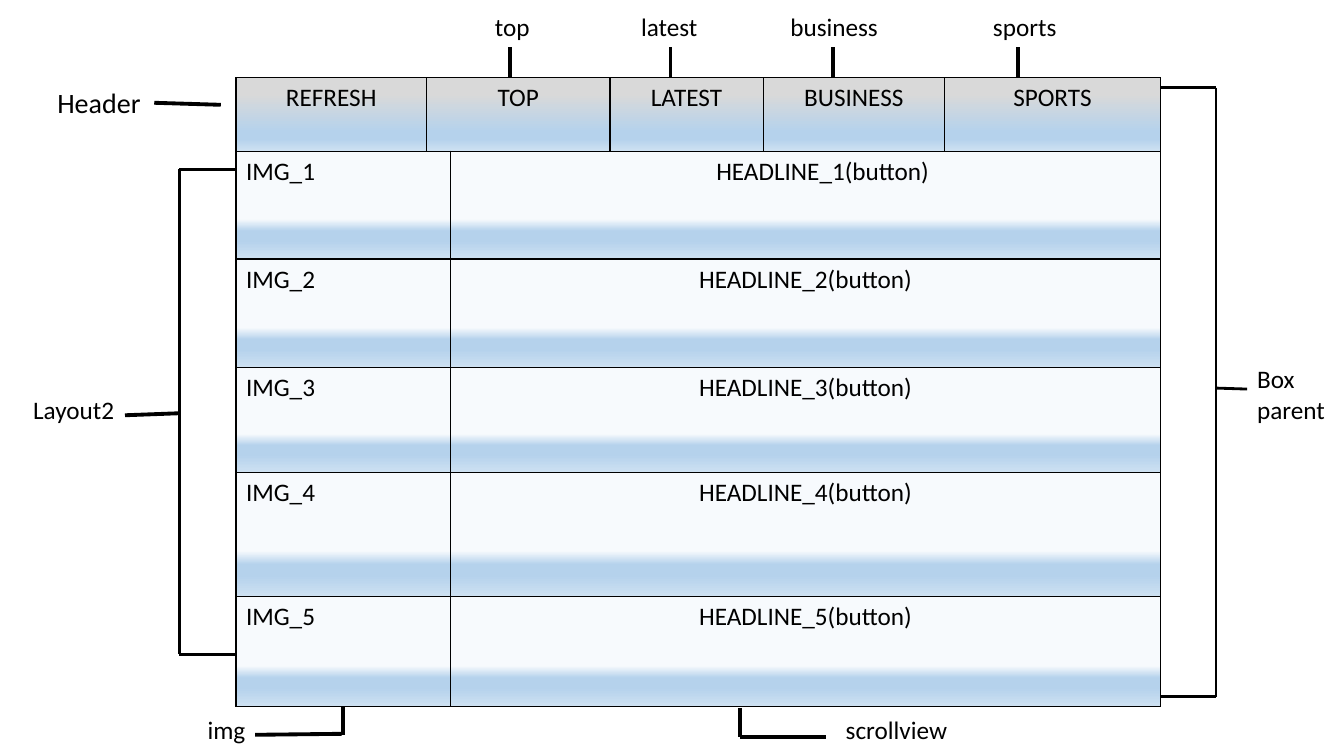
from lxml.etree import SubElement
from pptx import Presentation
from pptx.dml.color import RGBColor
from pptx.enum.shapes import MSO_CONNECTOR
from pptx.enum.text import MSO_AUTO_SIZE, PP_ALIGN
from pptx.oxml.ns import qn
from pptx.util import Inches, Pt

BLACK = "000000"
BLUE_END = [(74, "B5D2EC"), (83, "B5D2EC"), (100, "CEE1F2")]
HEADER_FILL = [(22, "D9D9D9")] + BLUE_END
NEWS_FILL = [(63, "F7FAFD")] + BLUE_END


def rgb(value):
    return RGBColor.from_string(value)


def add_color(parent, value):
    SubElement(parent, qn("a:srgbClr"), val=value)


class Wireframe:
    font = "Calibri"
    size = 18
    thick, thin = 2.75, 2

    def __init__(self, slide):
        self.slide = slide

    def style(self, tf, size=None):
        for p in tf.paragraphs:
            for r in p.runs:
                r.font.name = self.font
                r.font.size = Pt(size or self.size)
                r.font.bold = False
                r.font.color.rgb = rgb(BLACK)

    def label(self, text, x, y, w, h=0.4, size=None, wrap=True):
        box = self.slide.shapes.add_textbox(Inches(x), Inches(y), Inches(w), Inches(h))
        tf = box.text_frame
        tf.text = text
        tf.word_wrap = wrap
        tf.auto_size = MSO_AUTO_SIZE.SHAPE_TO_FIT_TEXT
        self.style(tf, size)
        return box

    def line(self, x1, y1, x2, y2, width):
        s = self.slide.shapes.add_connector(
            MSO_CONNECTOR.STRAIGHT, Inches(x1), Inches(y1), Inches(x2), Inches(y2))
        s.line.color.rgb = rgb(BLACK)
        s.line.width = Pt(width)
        SubElement(s._element.spPr, qn("a:effectLst"))
        return s

    def bracket(self, spine, tip, top, bottom):
        """Draw a square bracket whose two arms reach from the spine to the tip."""
        for y in (top, bottom):
            self.line(spine, y, tip, y, self.thin)
        self.line(spine, top, spine, bottom, self.thin)

    def table(self, x, y, cols, rows):
        frame = self.slide.shapes.add_table(
            len(rows), len(cols), Inches(x), Inches(y), Inches(sum(cols)), Inches(sum(rows)))
        table = frame.table
        table.first_row = table.horz_banding = False
        for column, width in zip(table.columns, cols):
            column.width = Inches(width)
        for row, height in zip(table.rows, rows):
            row.height = Inches(height)
        return table

    def cell(self, cell, text, align):
        tf = cell.text_frame
        tf.text = text
        tf.paragraphs[0].alignment = align
        self.style(tf)

    def cell_look(self, cell, stops):
        """Give a cell thin black borders and a top-to-bottom gradient."""
        tcPr = cell._tc.get_or_add_tcPr()
        for side in ("a:lnL", "a:lnR", "a:lnT", "a:lnB"):
            ln = SubElement(tcPr, qn(side), w=str(Pt(1)))
            add_color(SubElement(ln, qn("a:solidFill")), BLACK)
        grad = SubElement(tcPr, qn("a:gradFill"), rotWithShape="1")
        stop_list = SubElement(grad, qn("a:gsLst"))
        for percent, value in stops:
            add_color(SubElement(stop_list, qn("a:gs"), pos=str(percent * 1000)), value)
        SubElement(grad, qn("a:lin"), ang=str(90 * 60000), scaled="0")


def build_news_table(wf):
    table = wf.table(2.34, 0.77, [1.89, 0.23, 1.58, 1.52, 1.8, 2.14],
                     [0.73, 1.07, 1.08, 1.04, 1.23, 1.09])
    for row in range(6):
        for col in range(6):
            wf.cell_look(table.cell(row, col), NEWS_FILL if row else HEADER_FILL)

    table.cell(0, 1).merge(table.cell(0, 2))
    buttons = [(0, "REFRESH"), (1, "TOP"), (3, "LATEST"), (4, "BUSINESS"), (5, "SPORTS")]
    for col, text in buttons:
        wf.cell(table.cell(0, col), text, PP_ALIGN.CENTER)

    for row in range(1, 6):
        table.cell(row, 0).merge(table.cell(row, 1))
        table.cell(row, 2).merge(table.cell(row, 5))
        wf.cell(table.cell(row, 0), f"IMG_{row}", PP_ALIGN.LEFT)
        wf.cell(table.cell(row, 2), f"HEADLINE_{row}(button)", PP_ALIGN.CENTER)
    table.cell(1, 2).margin_left = Inches(0.44)


def build_labels(wf):
    # Header buttons
    for text, x, w, tick in [("top", 4.81, 0.77, 5.06), ("latest", 6.26, 0.92, 6.65),
                             ("business", 7.74, 1.11, 8.26), ("sports", 9.75, 0.85, 10.1)]:
        wf.label(text, x, 0.06, w)
        wf.line(tick, 0.76, tick, 0.47, wf.thick)

    # Left side
    header = wf.label("Header", 0.47, 0.8, 1.06, 0.44, size=20)
    wf.line(2.19, 1.04, 1.53, 1.02, wf.thick).end_connect(header, 3)
    wf.label("Layout2", 0.23, 3.86, 1.01)
    wf.line(1.78, 4.1, 1.24, 4.12, wf.thick)
    wf.bracket(1.78, 2.33, 1.68, 6.49)

    # Right side
    wf.bracket(12.06, 11.52, 0.87, 6.91)
    wf.line(12.06, 3.85, 12.37, 3.86, wf.thin)
    wf.label("Box parent", 12.37, 3.56, 0.96, 0.71)

    # Below the table
    wf.label("img", 1.96, 7.04, 0.58, wrap=False)
    wf.line(3.4, 7.29, 3.4, 7, wf.thick)
    wf.line(3.39, 7.28, 2.53, 7.29, wf.thick)
    wf.label("scrollview", 8.29, 7.04, 1.47)
    wf.line(7.34, 7.31, 7.34, 7.02, wf.thick)
    wf.line(8.19, 7.31, 7.34, 7.31, wf.thick)


def main():
    prs = Presentation()
    prs.slide_width, prs.slide_height = Inches(13.33), Inches(7.5)
    wf = Wireframe(prs.slides.add_slide(prs.slide_layouts[6]))
    build_news_table(wf)
    build_labels(wf)
    prs.save("out.pptx")


if __name__ == "__main__":
    main()
